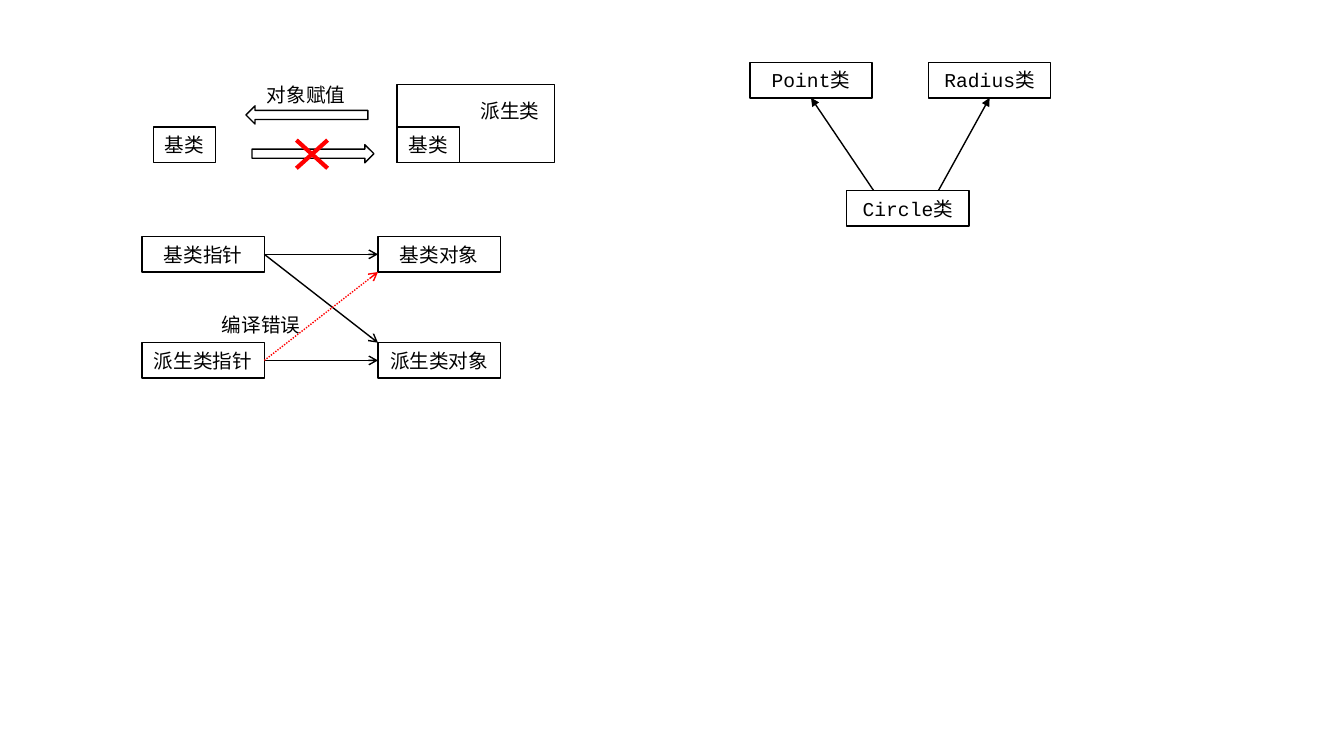
import pptx
import pptx.util
import pptx.dml.color
import pptx.enum.dml
import pptx.enum.shapes
import pptx.enum.text
import pptx.oxml
import pptx.oxml.ns
from dataclasses import dataclass

Pt = pptx.util.Pt
RGB = pptx.dml.color.RGBColor
SHAPE = pptx.enum.shapes.MSO_SHAPE


@dataclass(frozen=True)
class Theme:
    ink: RGB = RGB(0, 0, 0)
    paper: RGB = RGB(255, 255, 255)
    error: RGB = RGB(255, 0, 0)
    cjk: str = "Noto Sans CJK SC"
    code: str = "Courier New"
    size: int = 14
    thin: int = 1
    thick: int = 3


THEME = Theme()

# Content: captions are (left, top, width, text)
BASE = "基类"
CAPTIONS = {
    "derived": (336.2, 67, 57, "派生类"),
    "assignment": (183.6, 55.4, 71.3, "对象赋值"),
    "compile_error": (151.4, 220.3, 71.3, "编译错误"),
}
POINTERS = ["基类指针", "派生类指针"]
OBJECTS = ["基类对象", "派生类对象"]
# (pointer row, object row, allowed)
POINTS_TO = [(0, 0, True), (0, 1, True), (1, 1, True), (1, 0, False)]
# Parent class, left edge, where its arrow leaves the child (share of width)
PARENTS = [("Point", 535.6, 0.22), ("Radius", 663.2, 0.75)]
CHILD = "Circle"
CLASS_WORD = "类"

# Layout
BOX_H, NODE_W, BASE_W, CAPTION_H = 25.3, 87.4, 44.6, 24.5
DERIVED = (283.5, 60.5, 112.5, 55.5)
BASE_LEFTS = (109.5, DERIVED[0])
BASE_TOP = DERIVED[1] + DERIVED[3] - BOX_H
BLOCK_ARROW_W, BLOCK_ARROW_H = 87.1, 13
POINTER_LEFT, OBJECT_LEFT = 101.4, 270
ROW_TOPS = (169, 244.8)
PARENT_TOP, CHILD_LEFT, CHILD_TOP = 44.6, 604.8, 136.1
CROSS = (211.7, 100.1, 234, 120.2)

deck = pptx.Presentation()
deck.slide_width, deck.slide_height = Pt(960), Pt(540)
slide = deck.slides.add_slide(deck.slide_layouts[6])


def write(frame, runs):
    """Fill a frame with (text, font) runs."""
    paragraph = frame.paragraphs[0]
    paragraph.font.size = Pt(THEME.size)
    paragraph.font.color.rgb = THEME.ink
    for text, face in runs:
        run = paragraph.add_run()
        run.text = text
        run.font.size = Pt(THEME.size)
        run.font.name = face
        east_asian = pptx.oxml.parse_xml(
            f'<a:ea {pptx.oxml.ns.nsdecls("a")} typeface="{THEME.cjk}"/>')
        run.font._element.append(east_asian)
    return paragraph


def outline(kind, left, top, width, height, runs=()):
    shape = slide.shapes.add_shape(kind, Pt(left), Pt(top), Pt(width), Pt(height))
    shape.shadow.inherit = False
    shape.fill.solid()
    shape.fill.fore_color.rgb = THEME.paper
    shape.line.color.rgb = THEME.ink
    shape.line.width = Pt(THEME.thin)
    if runs:
        shape.text_frame.vertical_anchor = pptx.enum.text.MSO_ANCHOR.MIDDLE
        write(shape.text_frame, runs).alignment = pptx.enum.text.PP_ALIGN.CENTER
    return shape


def node(left, top, runs, width=NODE_W):
    return outline(SHAPE.RECTANGLE, left, top, width, BOX_H, runs)


def caption(key):
    left, top, width, text = CAPTIONS[key]
    box = slide.shapes.add_textbox(Pt(left), Pt(top), Pt(width), Pt(CAPTION_H))
    box.text_frame.word_wrap = False
    box.text_frame.auto_size = pptx.enum.text.MSO_AUTO_SIZE.SHAPE_TO_FIT_TEXT
    write(box.text_frame, [(text, THEME.cjk)])


def connect(x1, y1, x2, y2, color=THEME.ink, width=THEME.thin, head=None, dotted=False):
    link = slide.shapes.add_connector(
        pptx.enum.shapes.MSO_CONNECTOR.STRAIGHT, Pt(x1), Pt(y1), Pt(x2), Pt(y2))
    link.line.color.rgb = color
    link.line.width = Pt(width)
    if dotted:
        link.line.dash_style = pptx.enum.dml.MSO_LINE.ROUND_DOT
    names = pptx.oxml.ns.nsdecls("a")
    if head:
        link.line._get_or_add_ln().append(
            pptx.oxml.parse_xml(f'<a:tailEnd {names} type="{head}"/>'))
    link._element.spPr.append(pptx.oxml.parse_xml(f"<a:effectLst {names}/>"))


# Object assignment between base and derived class
outline(SHAPE.RECTANGLE, *DERIVED)
for base_left in BASE_LEFTS:
    node(base_left, BASE_TOP, [(BASE, THEME.cjk)], BASE_W)
caption("derived")
to_base = outline(SHAPE.RIGHT_ARROW, 175.7, 75.6, BLOCK_ARROW_W, BLOCK_ARROW_H)
to_base._element.spPr.xfrm.set("flipH", "1")
outline(SHAPE.RIGHT_ARROW, 180, 103.3, BLOCK_ARROW_W, BLOCK_ARROW_H)
x1, y1, x2, y2 = CROSS
for start_y, end_y in ((y1, y2), (y2, y1)):
    connect(x1, start_y, x2, end_y, THEME.error, THEME.thick)
caption("assignment")

# Pointers and the objects they may point to
for row_top, pointer, target in zip(ROW_TOPS, POINTERS, OBJECTS):
    node(POINTER_LEFT, row_top, [(pointer, THEME.cjk)])
    node(OBJECT_LEFT, row_top, [(target, THEME.cjk)])
for start, end, allowed in POINTS_TO:
    # Level links meet the side, falling ones the top corner, rising ones the bottom
    end_y = ROW_TOPS[end] + BOX_H * (1 + start - end) / 2
    connect(POINTER_LEFT + NODE_W, ROW_TOPS[start] + BOX_H / 2, OBJECT_LEFT, end_y,
            THEME.ink if allowed else THEME.error, head="arrow", dotted=not allowed)
caption("compile_error")

# Multiple inheritance
classes = [(name, left, PARENT_TOP) for name, left, _ in PARENTS]
for name, left, top in classes + [(CHILD, CHILD_LEFT, CHILD_TOP)]:
    node(left, top, [(name, THEME.code), (CLASS_WORD, THEME.cjk)])
for _, left, share in PARENTS:
    connect(CHILD_LEFT + share * NODE_W, CHILD_TOP,
            left + NODE_W / 2, PARENT_TOP + BOX_H, head="triangle")

deck.save("out.pptx")
